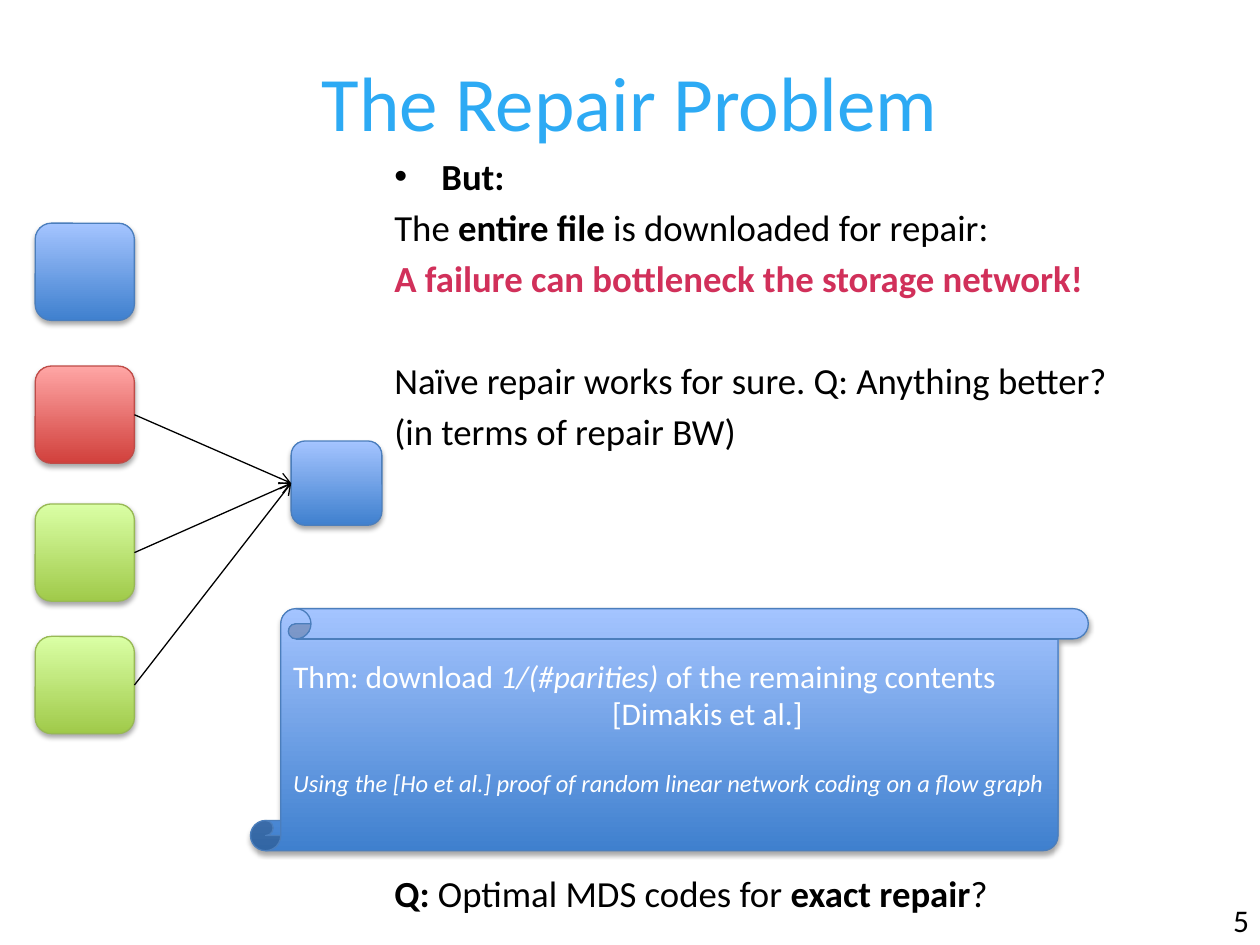
from dataclasses import dataclass

from lxml import etree
from pptx import Presentation
from pptx import util as u
from pptx.dml.color import RGBColor
from pptx.enum import shapes, text
from pptx.oxml.ns import qn


@dataclass(frozen=True)
class Theme:
    font: str = "Calibri"
    title: str = "2DAAF4"
    ink: str = "000000"
    warning: str = "D1305A"
    light: str = "FFFFFF"
    # Each block palette: gradient bottom, gradient top, outline
    blue: tuple = ("3F80CE", "A4C4FF", "4B7EBC")
    red: tuple = ("D1403C", "FFA6A5", "BF4C48")
    green: tuple = ("A0CA4A", "DAFFA5", "98B955")
    title_size: int = 44
    body_size: int = 21
    label_size: int = 18
    note_size: int = 14
    line_width: float = 0.75


THEME = Theme()


def cm_box(*lengths):
    return [u.Cm(length) for length in lengths]


def write(paragraph, parts, size, color, before=0):
    """Fill a paragraph with (text, style) parts; style is "", "b" or "i"."""
    paragraph.alignment = text.PP_ALIGN.LEFT
    paragraph.space_before = u.Pt(before)
    for words, style in parts:
        run = paragraph.add_run()
        run.text = words
        run.font.name = THEME.font
        run.font.size = u.Pt(size)
        run.font.color.rgb = RGBColor.from_string(color)
        run.font.bold = style == "b"
        run.font.italic = style == "i"


def set_indent(paragraph, left, first=0):
    properties = paragraph._p.get_or_add_pPr()
    properties.set("marL", str(u.Cm(left)))
    properties.set("indent", str(u.Cm(first)))
    return properties


def add_block(container, kind, box, palette):
    """Add a preset shape with a vertical gradient and a soft shadow below."""
    shape = container.add_shape(kind, *cm_box(*box))
    bottom, top, outline = palette
    shape.fill.gradient()
    shape.fill.gradient_angle = 90
    for stop, color in zip(shape.fill.gradient_stops, (bottom, top)):
        stop.color.rgb = RGBColor.from_string(color)
    shape.line.color.rgb = RGBColor.from_string(outline)
    shape.line.width = u.Pt(THEME.line_width)
    shape.shadow.inherit = False
    effects = shape._element.spPr.find(qn("a:effectLst"))
    shadow = etree.SubElement(
        effects, qn("a:outerShdw"), blurRad=str(u.Pt(3.1)), dist=str(u.Pt(1.8)),
        dir="5400000", rotWithShape="0")
    color = etree.SubElement(shadow, qn("a:srgbClr"), val=THEME.ink)
    etree.SubElement(color, qn("a:alpha"), val="35000")
    return shape


def add_arrow(slide, source, target):
    """Join the right side of source to the left side of target."""
    arrow = slide.shapes.add_connector(shapes.MSO_CONNECTOR.STRAIGHT, 0, 0, 0, 0)
    arrow.begin_connect(source, 3)
    arrow.end_connect(target, 1)
    arrow.line.color.rgb = RGBColor.from_string(THEME.ink)
    arrow.line.width = u.Pt(THEME.line_width)
    properties = arrow._element.spPr
    etree.SubElement(properties.find(qn("a:ln")), qn("a:tailEnd"), type="arrow")
    etree.SubElement(properties, qn("a:effectLst"))


def add_title(slide, box):
    title = slide.shapes.title
    title.left, title.top, title.width, title.height = cm_box(*box)
    frame = title.text_frame
    frame.text = "The Repair Problem"
    frame.vertical_anchor = text.MSO_ANCHOR.TOP
    frame.margin_top = u.Cm(0.33)
    paragraph = frame.paragraphs[0]
    paragraph.alignment = text.PP_ALIGN.CENTER
    font = paragraph.runs[0].font
    font.name = THEME.font
    font.size = u.Pt(THEME.title_size)
    font.color.rgb = RGBColor.from_string(THEME.title)


def add_repair_diagram(slide, left, top):
    """Draw the storage nodes and the new node that the survivors feed."""
    rounded = shapes.MSO_SHAPE.ROUNDED_RECTANGLE
    rows = [(0, THEME.blue), (2.88, THEME.red), (5.66, THEME.green), (8.33, THEME.green)]
    group = slide.shapes.add_group_shape()
    nodes = [add_block(group.shapes, rounded, (left, top + offset, 2, 1.96), palette)
             for offset, palette in rows]
    new_node = add_block(slide.shapes, rounded,
                         (left + 5.16, top + 4.39, 1.83, 1.7), THEME.blue)
    for node in nodes[1:]:
        add_arrow(slide, node, new_node)


def add_argument(slide, box):
    frame = slide.shapes.add_textbox(*cm_box(*box)).text_frame
    frame.word_wrap = True
    ink, gap = THEME.ink, 3.9
    lines = [
        ([("But:", "b")], ink, 0),
        ([("The ", ""), ("entire file", "b"), (" is downloaded for repair:", "")], ink, gap),
        ([("A failure can bottleneck the storage network!", "b")], THEME.warning, gap),
        ([("Naïve repair works for sure. Q: Anything better?", "")], ink, 33.3),
        ([("(in terms of repair BW)", "")], ink, gap),
        ([("Q: ", "b"), ("Optimal MDS codes for ", ""), ("exact repair", "b"), ("?", "")],
         ink, 239),
    ]
    for index, (parts, color, before) in enumerate(lines):
        paragraph = frame.add_paragraph() if index else frame.paragraphs[0]
        properties = set_indent(paragraph, 0.95, -0.95)
        if index == 0:
            etree.SubElement(properties, qn("a:buFont"), typeface="Arial")
            etree.SubElement(properties, qn("a:buChar"), char="•")
        write(paragraph, parts, THEME.body_size, color, before)


def add_theorem(slide, box):
    scroll = add_block(slide.shapes, shapes.MSO_SHAPE.VERTICAL_SCROLL, box, THEME.blue)
    frame = scroll.text_frame
    frame.word_wrap = True
    frame.vertical_anchor = text.MSO_ANCHOR.MIDDLE
    frame.margin_bottom = u.Cm(0.53)
    lines = [
        ([("Thm: download ", ""), ("1/(#parities)", "i"), (" of the remaining contents", "")],
         THEME.label_size, 0, 0),
        ([("[Dimakis et al.]", "")], THEME.label_size, 0, 6.43),
        ([("Using the [Ho et al.] proof of random linear network coding on a flow graph", "i")],
         THEME.note_size, 20.7, 0),
    ]
    for index, (parts, size, before, indent) in enumerate(lines):
        paragraph = frame.add_paragraph() if index else frame.paragraphs[0]
        set_indent(paragraph, indent)
        write(paragraph, parts, size, THEME.light, before)


def add_page_number(slide, box):
    frame = slide.shapes.add_textbox(*cm_box(*box)).text_frame
    write(frame.paragraphs[0], [("5", "")], THEME.label_size, THEME.ink)


def main():
    presentation = Presentation()
    presentation.slide_width, presentation.slide_height = cm_box(25.4, 19.05)
    slide = presentation.slides.add_slide(presentation.slide_layouts[5])
    add_title(slide, (1.27, 0.76, 22.86, 3.18))
    add_repair_diagram(slide, 0.71, 4.5)
    add_page_number(slide, (24.61, 18.03, 1.37, 1.02))
    add_argument(slide, (7.7, 2.97, 18.34, 10.59))
    add_theorem(slide, (5.05, 12.27, 16.89, 4.88))
    presentation.save("out.pptx")


if __name__ == "__main__":
    main()
